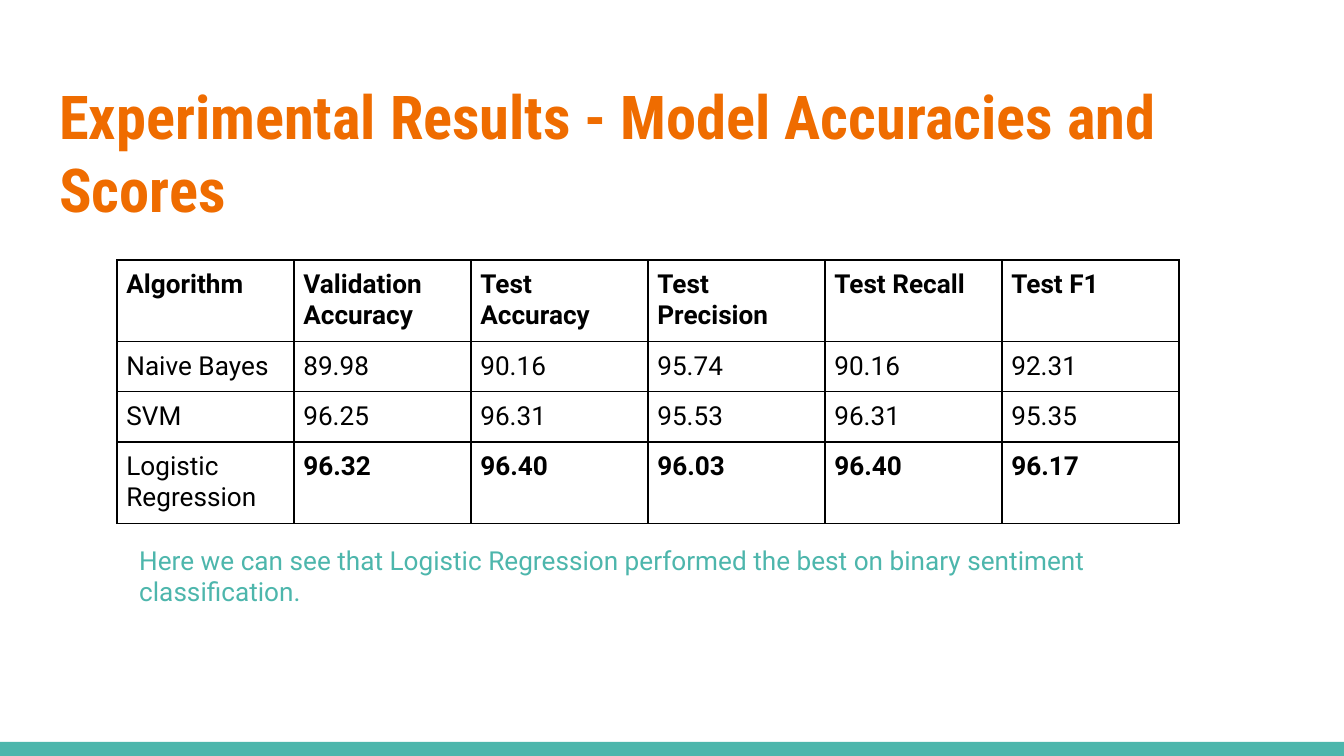
from lxml import etree
from pptx import Presentation, util as u
from pptx.dml.color import RGBColor
from pptx.enum import shapes, text
from pptx.oxml.ns import qn

PX = 914400 / 134.4
COLORS = {"teal": "4DB6AC", "orange": "EF6C00", "black": "000000"}
TITLE = {"name": "Roboto Condensed", "size": u.Pt(32.4), "bold": True}
BODY = {"name": "Roboto", "size": u.Pt(14), "bold": False}
STRONG = {**BODY, "bold": True}
SIDES = ("left", "right", "top", "bottom")
RESULTS = [
    ["Algorithm", "Validation Accuracy", "Test Accuracy", "Test Precision", "Test Recall", "Test F1"],
    ["Naive Bayes", "89.98", "90.16", "95.74", "90.16", "92.31"],
    ["SVM", "96.25", "96.31", "95.53", "96.31", "95.35"],
    ["Logistic Regression", "96.32", "96.40", "96.03", "96.40", "96.17"],
]


def px(n):
    return u.Emu(round(n * PX))


class Deck:
    """Holds the style and the current slide, and draws each kind of element."""

    def __init__(self, width, height):
        self.prs = Presentation()
        self.prs.slide_width, self.prs.slide_height = px(width), px(height)
        self.s = self.prs.slides.add_slide(self.prs.slide_layouts[6])

    def add_words(self, tf, words, style, color):
        p = tf.paragraphs[0]
        r = p.add_run()
        r.text = words
        for key, value in style.items():
            setattr(r.font, key, value)
        r.font.color.rgb = RGBColor.from_string(COLORS[color])

    def bar(self, box, color):
        sp = self.s.shapes.add_shape(shapes.MSO_SHAPE.RECTANGLE, *map(px, box))
        sp.shadow.inherit = False
        sp.fill.solid()
        sp.fill.fore_color.rgb = RGBColor.from_string(COLORS[color])
        sp.line.fill.background()

    def label(self, box, words, style, color):
        tf = self.s.shapes.add_textbox(*map(px, box)).text_frame
        tf.word_wrap = True
        tf.vertical_anchor = text.MSO_ANCHOR.TOP
        for side in SIDES:
            setattr(tf, f"margin_{side}", u.Inches(0.1))
        self.add_words(tf, words, style, color)

    def border(self, cell, color):
        tc_pr = cell._tc.get_or_add_tcPr()
        for i, tag in enumerate(("a:lnL", "a:lnR", "a:lnT", "a:lnB")):
            ln = etree.Element(qn(tag), w=str(u.Pt(1)))
            fill = etree.SubElement(ln, qn("a:solidFill"))
            etree.SubElement(fill, qn("a:srgbClr"), val=COLORS[color])
            tc_pr.insert(i, ln)

    def table(self, left, top, col_width, row_heights, rows):
        size = (col_width * len(rows[0]), sum(row_heights))
        frame = self.s.shapes.add_table(len(rows), len(rows[0]), *map(px, (left, top, *size)))
        tbl = frame.table
        tbl.horz_banding = False
        for row, height in zip(tbl.rows, row_heights):
            row.height = px(height)
        for i, row in enumerate(rows):
            for j, words in enumerate(row):
                cell = tbl.cell(i, j)
                for side in SIDES:
                    setattr(cell, f"margin_{side}", u.Inches(0.07))
                cell.fill.background()
                strong = i == 0 or (i == len(rows) - 1 and j > 0)
                self.add_words(cell.text_frame, words, STRONG if strong else BODY, "black")
                self.border(cell, "black")


def main():
    deck = Deck(1344, 756)
    deck.bar((0, 742, 1344, 14), "teal")
    deck.label((46, 66, 1252, 104), "Experimental Results - Model Accuracies and Scores", TITLE, "orange")
    deck.table(117, 260, 177, (80, 49, 49, 80), RESULTS)
    deck.label((126, 531, 1036, 109),
               "Here we can see that Logistic Regression performed the best on binary sentiment classification.",
               BODY, "teal")
    deck.prs.save("out.pptx")


if __name__ == "__main__":
    main()
